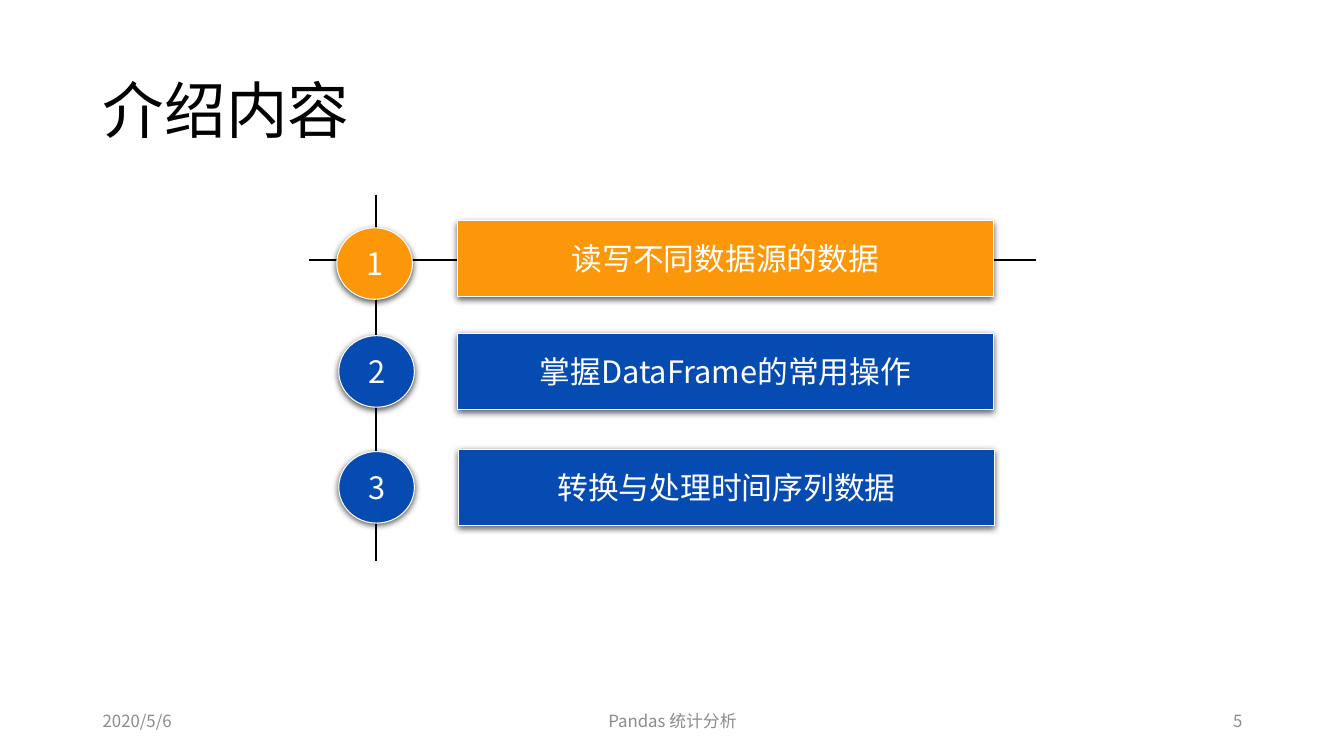
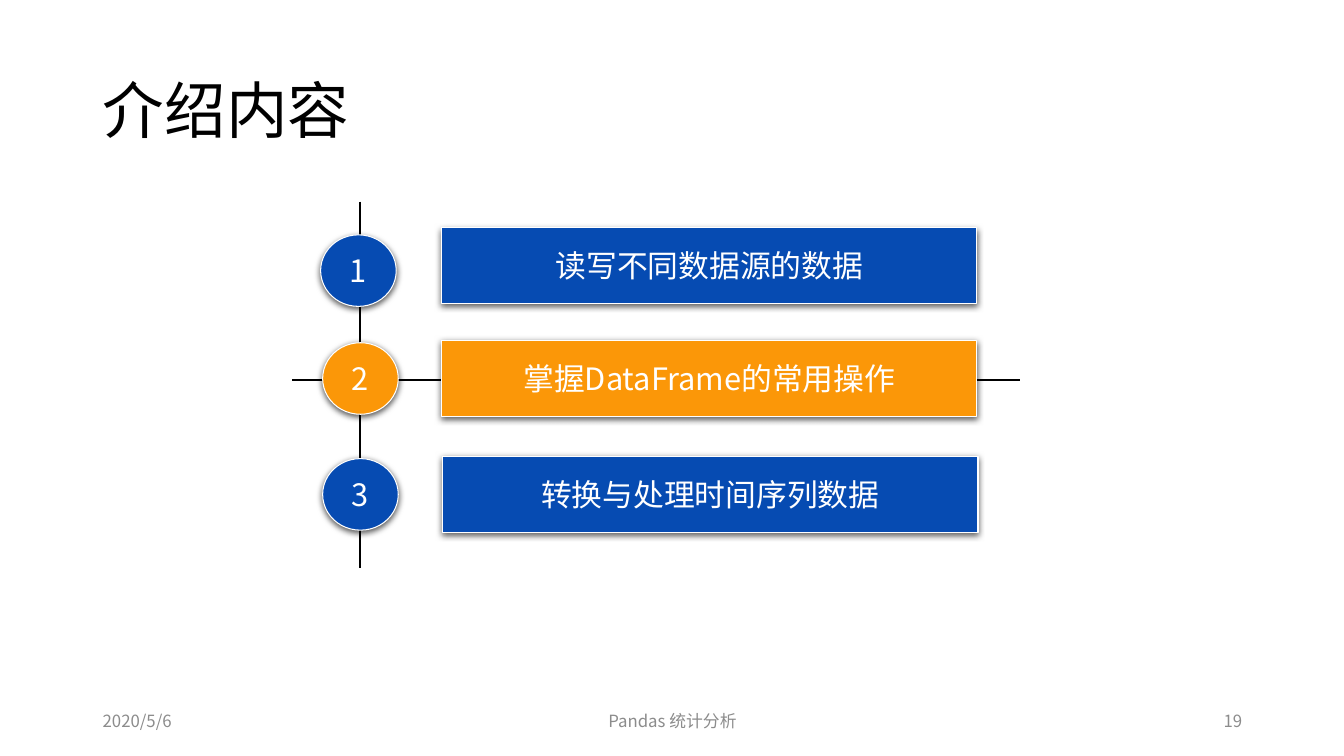
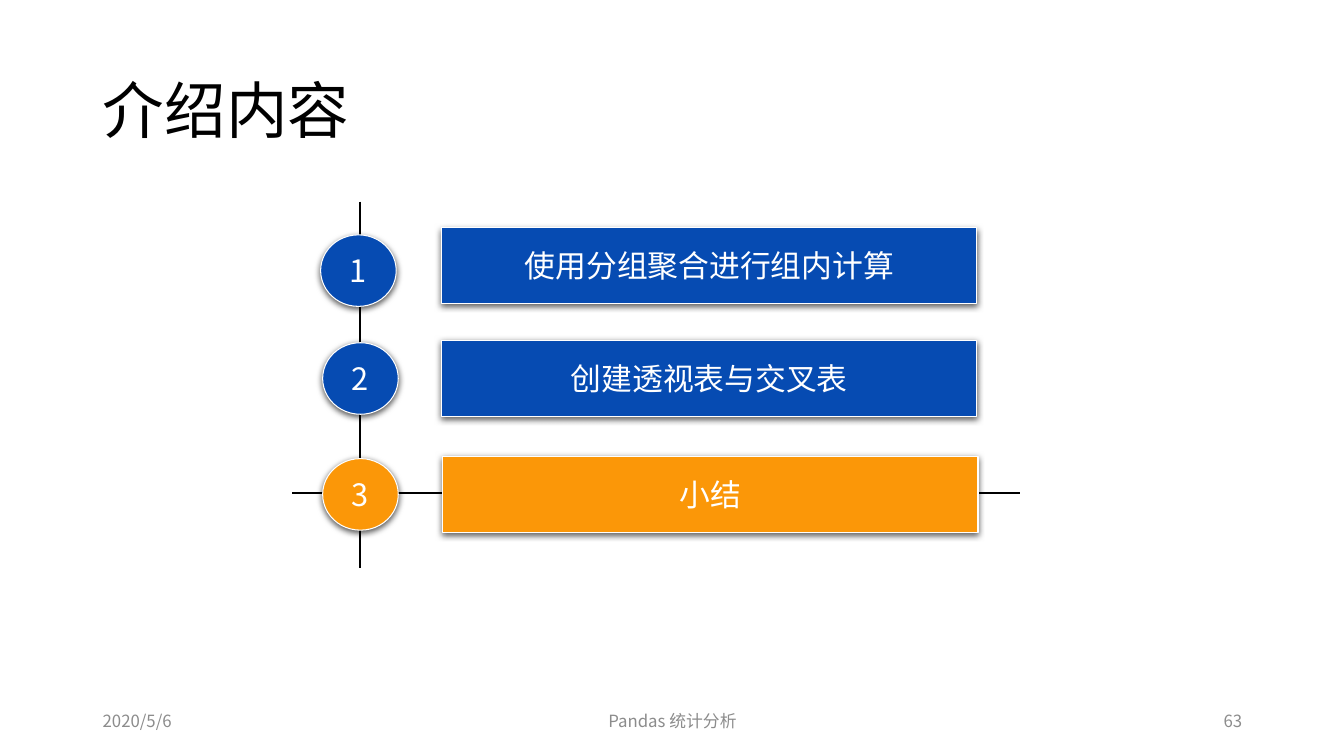
"""Build three agenda slides, each highlighting the current section."""
from lxml import etree
from pptx import Presentation
from pptx.dml.color import RGBColor
from pptx.enum.shapes import MSO_CONNECTOR, MSO_SHAPE
from pptx.enum.text import MSO_ANCHOR, PP_ALIGN
from pptx.oxml import parse_xml
from pptx.oxml.ns import nsdecls, qn
from pptx.util import Inches, Pt

LEFT, CENTER, RIGHT = PP_ALIGN.LEFT, PP_ALIGN.CENTER, PP_ALIGN.RIGHT
MIDDLE = MSO_ANCHOR.MIDDLE
STRAIGHT = MSO_CONNECTOR.STRAIGHT
OVAL, BUTTON = MSO_SHAPE.OVAL, MSO_SHAPE.ACTION_BUTTON_CUSTOM

COLORS = {
    "text": "000000",
    "footer": "8C8C8C",
    "white": "FFFFFF",
    "blue": "064BB2",
    "orange": "FB9708",
}
SANS, SERIF = "Noto Sans CJK SC", "Times New Roman"
SHADOW = (
    f'<a:effectLst {nsdecls("a")}>'
    f'<a:outerShdw blurRad="{Pt(4.5)}" dist="{Pt(1.5)}" dir="5400000" algn="ctr" rotWithShape="0">'
    f'<a:srgbClr val="{COLORS["text"]}"><a:alpha val="63000"/></a:srgbClr>'
    '</a:outerShdw></a:effectLst>'
)

TITLE_BOX = (0.92, 0.4, 11.5, 1.45)
FOOTER_TOP, FOOTER_HEIGHT = 6.95, 0.4
CIRCLE_SIZE = (0.75, 0.71)
BUTTON_SIZE = (5.31, 0.75)
ROWS = [
    {"circle": (3.18, 2.33), "button": (4.38, 2.26)},
    {"circle": (3.2, 3.4), "button": (4.38, 3.38)},
    {"circle": (3.2, 4.55), "button": (4.39, 4.53)},
]
FIRST_LINE_TOP, LINE_STEP = 2.65, 1.12

DATA_TOPICS = [
    ("读写不同数据源的数据", SERIF),
    ("掌握DataFrame的常用操作", SANS),
    ("转换与处理时间序列数据", SANS),
]
GROUPING_TOPICS = [
    ("使用分组聚合进行组内计算", SERIF),
    ("创建透视表与交叉表", SERIF),
    ("小结", SANS),
]
AGENDAS = [
    {"number": "5", "topics": DATA_TOPICS, "current": 0, "shift": (0.16, -0.07)},
    {"number": "19", "topics": DATA_TOPICS, "current": 1, "shift": (0, 0)},
    {"number": "63", "topics": GROUPING_TOPICS, "current": 2, "shift": (0, 0)},
]


def write_text(shape, text, size, color, alignment, font_name=SANS, wrap=True):
    frame = shape.text_frame
    for name, value in {"word_wrap": wrap, "vertical_anchor": MIDDLE}.items():
        setattr(frame, name, value)
    paragraph = frame.paragraphs[0]
    paragraph.alignment = alignment
    run = paragraph.add_run()
    run.text = text
    for name, value in {"size": Pt(size), "name": font_name}.items():
        setattr(run.font, name, value)
    run.font.color.rgb = RGBColor.from_string(COLORS[color])
    east_asian = etree.SubElement(run.font._element, qn("a:ea"))
    east_asian.set("typeface", SANS)
    return paragraph


presentation = Presentation()
presentation.slide_width = Inches(13.33)
presentation.slide_height = Inches(7.5)
title_only = presentation.slide_layouts[5]

for agenda in AGENDAS:
    slide = presentation.slides.add_slide(title_only)
    title = slide.shapes.title
    for name, value in zip(("left", "top", "width", "height"), TITLE_BOX):
        setattr(title, name, Inches(value))
    write_text(title, "介绍内容", 44, "text", LEFT).line_spacing = 0.9

    footers = [
        (0.92, 3, "2020/5/6", LEFT),
        (4.42, 4.5, "Pandas 统计分析", CENTER),
        (9.42, 3, agenda["number"], RIGHT),
    ]
    for left, width, text, alignment in footers:
        footer = slide.shapes.add_textbox(
            Inches(left), Inches(FOOTER_TOP), Inches(width), Inches(FOOTER_HEIGHT))
        write_text(footer, text, 12, "footer", alignment)

    diagram = slide.shapes.add_group_shape().shapes
    shift_x, shift_y = agenda["shift"]
    line_top = FIRST_LINE_TOP + LINE_STEP * agenda["current"]
    for x1, y1, x2, y2 in [(3.57, 2, 3.57, 5.64), (2.9, line_top, 10.12, line_top)]:
        line = diagram.add_connector(
            STRAIGHT, Inches(x1 + shift_x), Inches(y1 + shift_y),
            Inches(x2 + shift_x), Inches(y2 + shift_y))
        line.line.color.rgb = RGBColor.from_string(COLORS["text"])
        line.line.width = Pt(1)
        etree.SubElement(line._element.spPr, qn("a:effectLst"))

    for index, (row, (topic, font_name)) in enumerate(zip(ROWS, agenda["topics"])):
        fill = "orange" if index == agenda["current"] else "blue"
        parts = [
            (BUTTON, row["button"], BUTTON_SIZE, topic, font_name),
            (OVAL, row["circle"], CIRCLE_SIZE, str(index + 1), SANS),
        ]
        for kind, (left, top), (width, height), text, face in parts:
            shape = diagram.add_shape(
                kind, Inches(left + shift_x), Inches(top + shift_y), Inches(width), Inches(height))
            shape.fill.solid()
            shape.fill.fore_color.rgb = RGBColor.from_string(COLORS[fill])
            shape.line.color.rgb = RGBColor.from_string(COLORS["white"])
            shape.line.width = Pt(0.75)
            shape._element.spPr.append(parse_xml(SHADOW))
            write_text(shape, text, 22, "white", CENTER, face, wrap=False)

presentation.save("out.pptx")
